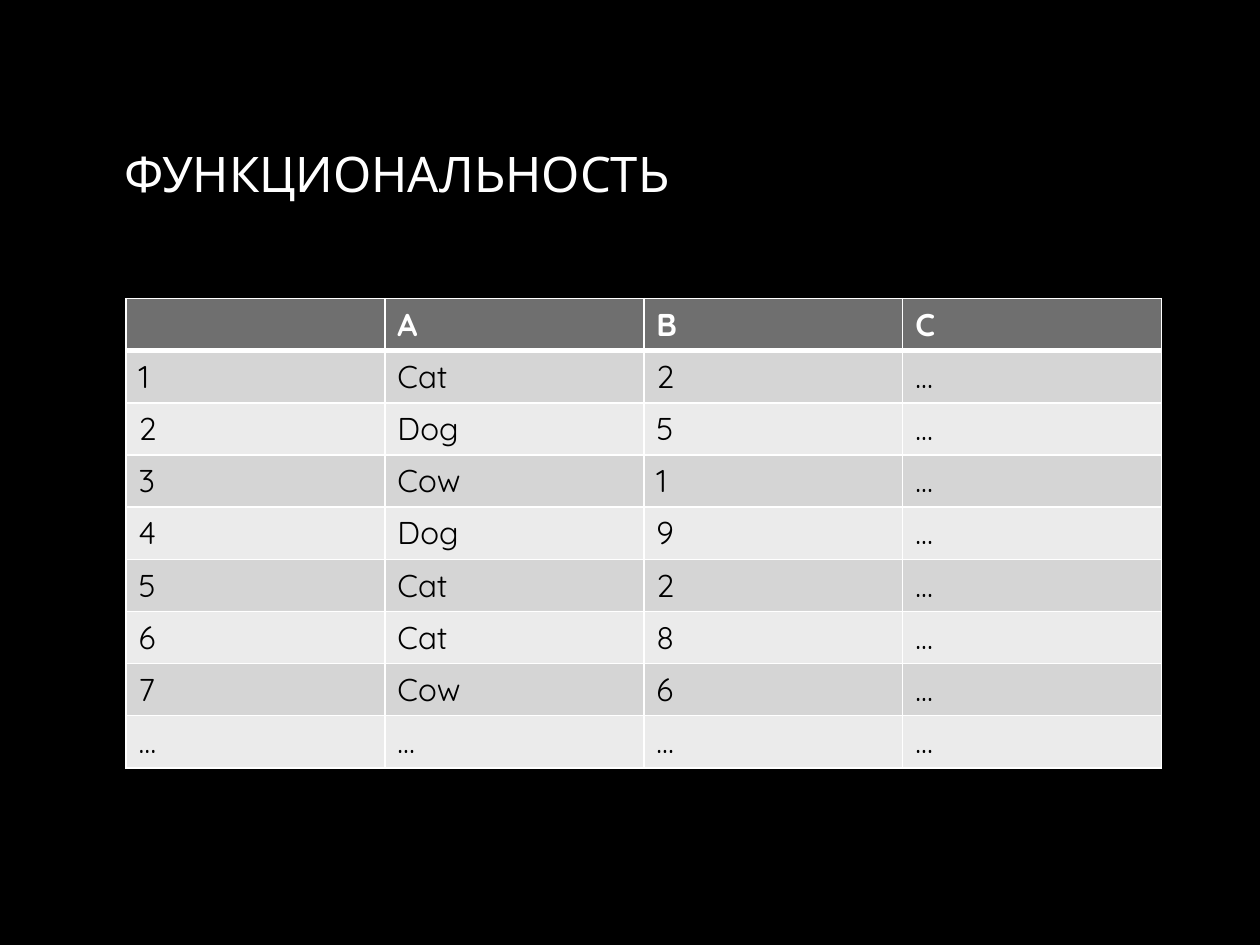
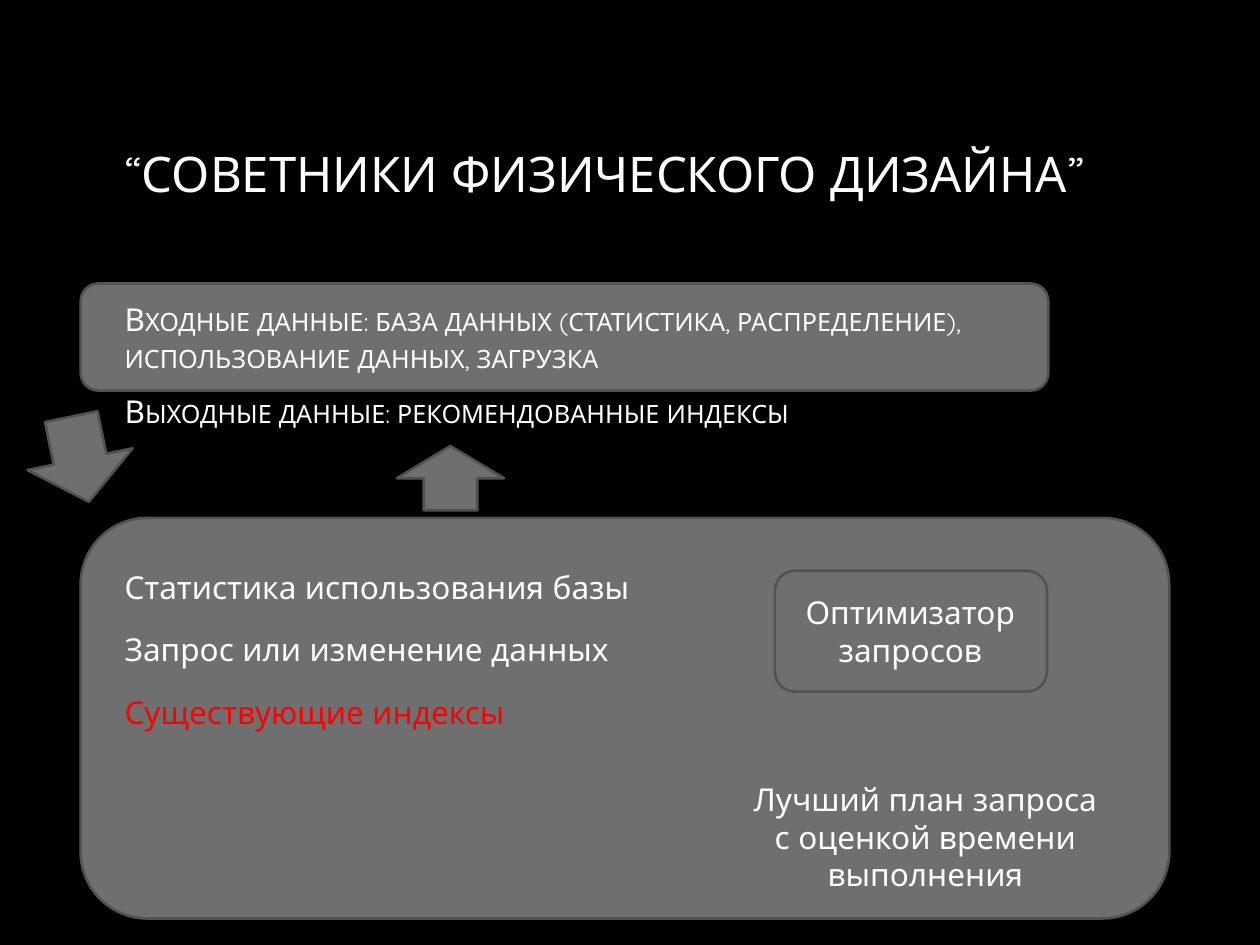
from dataclasses import dataclass
from typing import NamedTuple, Optional

from lxml.etree import SubElement
from pptx import Presentation
from pptx.dml.color import RGBColor
from pptx.enum.shapes import MSO_CONNECTOR as Connector, MSO_SHAPE as Shape
from pptx.enum.text import MSO_ANCHOR as Anchor, MSO_AUTO_SIZE as AutoSize, PP_ALIGN as Align
from pptx.oxml.ns import qn
from pptx.util import Emu, Inches, Pt


@dataclass(frozen=True)
class Theme:
    font: str = "Quicksand"
    title_size: float = 28
    text_size: float = 18
    outline_width: float = 1.5
    arrow_width: float = 2
    border_width: float = 1
    header_border_width: float = 3
    background: str = "000000"
    ink: str = "FFFFFF"
    ink_shade: str = "BFBFBF"
    table_ink: str = "000000"
    warning: str = "FF0000"
    panel: str = "6F6F6F"
    outline: str = "525252"
    bands: tuple = ("D5D5D5", "EBEBEB")


THEME = Theme()

# The slide is a grid of 100 columns by 75 rows.
WIDTH, HEIGHT = Inches(10), Inches(7.5)
COLUMNS, ROWS = 100, 75


def across(columns: float) -> Emu:
    return Emu(round(WIDTH * columns / COLUMNS))


def down(rows: float) -> Emu:
    return Emu(round(HEIGHT * rows / ROWS))


class Area(NamedTuple):
    left: float
    top: float
    width: float
    height: float

    def lengths(self) -> tuple:
        return across(self.left), down(self.top), across(self.width), down(self.height)


class Panel(NamedTuple):
    area: Area
    shape: int = Shape.ROUNDED_RECTANGLE
    rotation: float = 0


class Label(NamedTuple):
    area: Area
    text: str
    color: str = THEME.ink
    align: int = Align.LEFT


class Arrow(NamedTuple):
    start: tuple
    end: tuple
    source: Optional[str] = None  # label whose right side the arrow leaves


TEXT_LEFT = 8.9
TITLE_AREA = Area(TEXT_LEFT, 6.5, 82.1, 14.4)

TABLE_AREA = Area(10, 23.7, 82.2, 36.5)
HEADINGS = ("", "A", "B", "C")
ANIMALS = (("Cat", 2), ("Dog", 5), ("Cow", 1), ("Dog", 9),
           ("Cat", 2), ("Cat", 8), ("Cow", 6))

DATA_PANEL = Panel(Area(6.4, 22.5, 76.8, 8.5))
ADVISOR_PANEL = Panel(Area(6.4, 41.1, 86.4, 31.8))
OPTIMIZER_PANEL = Panel(Area(61.5, 45.3, 21.6, 9.6))
BLOCK_ARROWS = (
    Panel(Area(2.9, 32.2, 6.9, 8.5), Shape.RIGHT_ARROW, 78.3),
    Panel(Area(33.2, 33.7, 5.1, 8.5), Shape.RIGHT_ARROW, 270),
)
DATA_AREA = Area(TEXT_LEFT, 22.5, 82.1, 12.9)
DATA_TEXT = ("Входные данные: база данных (статистика, распределение), "
             "использование данных, загрузка\n"
             "Выходные данные: рекомендованные индексы")
LABELS = {
    "optimizer": Label(Area(62.7, 46.6, 19.1, 7.1), "Оптимизатор\nзапросов", align=Align.CENTER),
    "statistics": Label(Area(TEXT_LEFT, 44.6, 42.7, 4), "Статистика использования базы"),
    "query": Label(Area(TEXT_LEFT, 49.5, 41.9, 4), "Запрос или изменение данных"),
    "indexes": Label(Area(TEXT_LEFT, 54.5, 34.1, 4), "Существующие индексы", THEME.warning),
    "plan": Label(Area(58.3, 61.4, 30.3, 10.1),
                  "Лучший план запроса\nс оценкой времени\nвыполнения", align=Align.CENTER),
}
ARROWS = (
    Arrow((51.7, 46.6), (60.6, 50.7), "statistics"),
    Arrow((50.8, 51.5), (60.9, 51.8), "query"),
    Arrow((44.3, 56.5), (60.9, 53.2)),
    Arrow((73.5, 56.2), (73.5, 60.2)),
)


def rgb(color: str) -> RGBColor:
    return RGBColor.from_string(color)


def paint(fill, color: str) -> None:
    fill.solid()
    fill.fore_color.rgb = rgb(color)


def write(frame, text: str, *, size: float = THEME.text_size, color: str = THEME.ink,
          shade: Optional[str] = None, bold: bool = False, small_caps: bool = False,
          align: int = Align.LEFT, before: float = 0, after: float = 0) -> None:
    """Fill a text frame, one paragraph a line; a shade makes the colour a gradient."""
    for index, line in enumerate(text.split("\n")):
        para = frame.add_paragraph() if index else frame.paragraphs[0]
        para.alignment = align
        para.space_before, para.space_after = Pt(before), Pt(after)
        span = para.add_run()
        span.text = line
        font = span.font
        font.name, font.size, font.bold = THEME.font, Pt(size), bold
        if shade:
            font.fill.gradient()
            font.fill.gradient_angle = 270
            for stop, tone in zip(font.fill.gradient_stops, (color, shade)):
                stop.color.rgb = rgb(tone)
        else:
            paint(font.fill, color)
        if small_caps:
            font._element.set("cap", "small")


def add_page(deck, title: str):
    page = deck.slides.add_slide(deck.slide_layouts[5])
    box = page.shapes.title
    box.left, box.top, box.width, box.height = TITLE_AREA.lengths()
    frame = box.text_frame
    frame.auto_size, frame.vertical_anchor = AutoSize.NONE, Anchor.MIDDLE
    write(frame, title, size=THEME.title_size, shade=THEME.ink_shade)
    return page


def add_panel(page, panel: Panel) -> None:
    shape = page.shapes.add_shape(panel.shape, *panel.area.lengths())
    shape.rotation = panel.rotation
    shape.shadow.inherit = False
    paint(shape.fill, THEME.panel)
    paint(shape.line.fill, THEME.outline)
    shape.line.width = Pt(THEME.outline_width)


def add_label(page, label: Label):
    box = page.shapes.add_textbox(*label.area.lengths())
    box.text_frame.word_wrap = False
    box.text_frame.auto_size = AutoSize.SHAPE_TO_FIT_TEXT
    write(box.text_frame, label.text, color=label.color, align=label.align)
    return box


def add_arrow(page, arrow: Arrow, boxes: dict) -> None:
    (start_x, start_y), (end_x, end_y) = arrow.start, arrow.end
    line = page.shapes.add_connector(Connector.STRAIGHT, across(start_x), down(start_y),
                                     across(end_x), down(end_y))
    if arrow.source:
        line.begin_connect(boxes[arrow.source], 3)
    paint(line.line.fill, THEME.panel)
    line.line.width = Pt(THEME.arrow_width)
    SubElement(line.line._get_or_add_ln(), qn("a:tailEnd"), type="triangle")
    SubElement(line._element.spPr, qn("a:effectLst"))


def add_borders(cell, top: float, bottom: float) -> None:
    properties = cell._tc.get_or_add_tcPr()
    widths = {"L": THEME.border_width, "R": THEME.border_width, "T": top, "B": bottom}
    for side, width in widths.items():
        edge = SubElement(properties, qn(f"a:ln{side}"), w=str(Pt(width)))
        SubElement(SubElement(edge, qn("a:solidFill")), qn("a:srgbClr"), val=THEME.ink)


def add_animal_table(page) -> None:
    numbered = [(str(number), animal, str(count), "…")
                for number, (animal, count) in enumerate(ANIMALS, 1)]
    records = [HEADINGS, *numbered, ("…",) * len(HEADINGS)]
    table = page.shapes.add_table(len(records), len(HEADINGS), *TABLE_AREA.lengths()).table
    thin, thick = THEME.border_width, THEME.header_border_width
    for row, record in enumerate(records):
        table.rows[row].height = down(TABLE_AREA.height / len(records))
        header = row == 0
        for column, text in enumerate(record):
            cell = table.cell(row, column)
            add_borders(cell, thick if row == 1 else thin, thick if header else thin)
            paint(cell.fill, THEME.panel if header else THEME.bands[(row - 1) % 2])
            if text:
                write(cell.text_frame, text, bold=header,
                      color=THEME.ink if header else THEME.table_ink)


def add_data_text(page) -> None:
    box = page.shapes.add_textbox(*DATA_AREA.lengths())
    frame = box.text_frame
    frame.word_wrap, frame.vertical_anchor = True, Anchor.MIDDLE
    write(frame, DATA_TEXT, shade=THEME.ink_shade, small_caps=True,
          before=THEME.text_size * 0.2, after=6)


def build_functionality(deck) -> None:
    add_animal_table(add_page(deck, "ФУНКЦИОНАЛЬНОСТЬ"))


def build_advisors(deck) -> None:
    page = add_page(deck, "“СОВЕТНИКИ ФИЗИЧЕСКОГО ДИЗАЙНА”")
    for panel in (DATA_PANEL, ADVISOR_PANEL, OPTIMIZER_PANEL):
        add_panel(page, panel)
    add_data_text(page)
    boxes = {name: add_label(page, label) for name, label in LABELS.items()}
    for arrow in ARROWS:
        add_arrow(page, arrow, boxes)
    for panel in BLOCK_ARROWS:
        add_panel(page, panel)


def main() -> None:
    deck = Presentation()
    deck.slide_width, deck.slide_height = WIDTH, HEIGHT
    paint(deck.slide_master.background.fill, THEME.background)
    build_functionality(deck)
    build_advisors(deck)
    deck.save("out.pptx")


if __name__ == "__main__":
    main()
